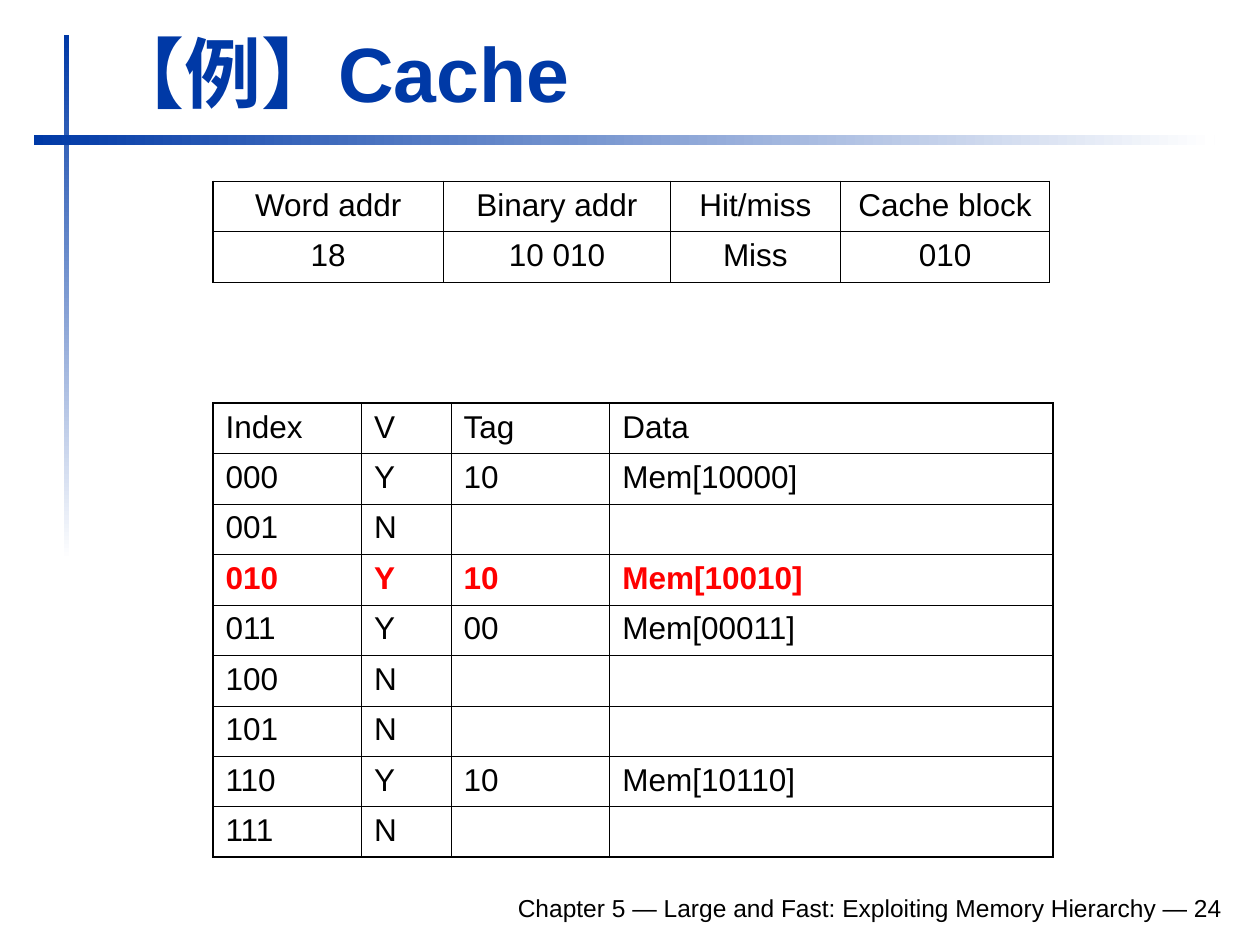
from dataclasses import dataclass

from pptx import Presentation
from pptx.dml.color import RGBColor
from pptx.enum import shapes, text
from pptx.oxml import ns
from pptx.util import Inches, Pt
from lxml import etree


@dataclass(frozen=True)
class Theme:
    font: str = "Arial"
    accent: RGBColor = RGBColor(0x00, 0x39, 0xA6)
    fade: RGBColor = RGBColor(0xFF, 0xFF, 0xFF)
    ink: RGBColor = RGBColor(0x00, 0x00, 0x00)
    highlight: RGBColor = RGBColor(0xFF, 0x00, 0x00)
    title_size: int = 44
    table_size: int = 18
    footer_size: int = 14
    outer_line: float = 1.08
    header_line: float = 0.75
    inner_line: float = 0.45


THEME = Theme()
TITLE_ONLY_LAYOUT = 5
TABLE_LEFT = 1.69
ROW_HEIGHT = 0.4

ACCESS_COLUMNS = [1.83, 1.8, 1.35, 1.66]
ACCESS_ROWS = [
    ["Word addr", "Binary addr", "Hit/miss", "Cache block"],
    ["18", "10 010", "Miss", "010"],
]
CACHE_COLUMNS = [1.18, 0.71, 1.26, 3.52]
CACHE_ROWS = [
    ["Index", "V", "Tag", "Data"],
    ["000", "Y", "10", "Mem[10000]"],
    ["001", "N", "", ""],
    ["010", "Y", "10", "Mem[10010]"],
    ["011", "Y", "00", "Mem[00011]"],
    ["100", "N", "", ""],
    ["101", "N", "", ""],
    ["110", "Y", "10", "Mem[10110]"],
    ["111", "N", "", ""],
]
UPDATED_ROW = 3


def style_paragraph(paragraph, size, color, align, bold=False):
    paragraph.alignment = align
    font = paragraph.font
    font.name = THEME.font
    font.size = Pt(size)
    font.bold = bold
    font.color.rgb = color


def add_fading_bar(slide, left, top, width, height, angle):
    bar = slide.shapes.add_shape(
        shapes.MSO_SHAPE.RECTANGLE,
        Inches(left), Inches(top), Inches(width), Inches(height))
    bar.shadow.inherit = False
    bar.line.fill.background()
    bar.fill.gradient()
    bar.fill.gradient_angle = angle
    for stop, color in zip(bar.fill.gradient_stops, (THEME.accent, THEME.fade)):
        stop.color.rgb = color


def set_title(slide, wording):
    title = slide.shapes.title
    title.left, title.top = Inches(0.75), Inches(0.16)
    title.width, title.height = Inches(9.03), Inches(0.83)
    frame = title.text_frame
    frame.text = wording
    frame.vertical_anchor = text.MSO_ANCHOR.BOTTOM
    frame.auto_size = text.MSO_AUTO_SIZE.SHAPE_TO_FIT_TEXT
    style_paragraph(frame.paragraphs[0], THEME.title_size, THEME.accent,
                    text.PP_ALIGN.LEFT, bold=True)


def add_footer(slide, wording):
    footer = slide.shapes.add_textbox(
        Inches(1.85), Inches(6.98), Inches(7.95), Inches(0.39))
    frame = footer.text_frame
    frame.word_wrap = True
    frame.vertical_anchor = text.MSO_ANCHOR.BOTTOM
    frame.text = wording
    style_paragraph(frame.paragraphs[0], THEME.footer_size, THEME.ink,
                    text.PP_ALIGN.RIGHT)


def set_borders(cell, widths):
    """Draw the cell's sides; widths maps L, R, T, B (in that order) to points."""
    properties = cell._tc.get_or_add_tcPr()
    for side, width in widths.items():
        line = etree.SubElement(properties, ns.qn(f"a:ln{side}"), w=str(Pt(width)))
        fill = etree.SubElement(line, ns.qn("a:solidFill"))
        etree.SubElement(fill, ns.qn("a:srgbClr"), val=str(THEME.ink))


def add_grid_table(slide, top, column_widths, rows, align, highlighted_row=None):
    last_row, last_column = len(rows) - 1, len(column_widths) - 1
    table = slide.shapes.add_table(
        len(rows), len(column_widths), Inches(TABLE_LEFT), Inches(top),
        Inches(sum(column_widths)), Inches(ROW_HEIGHT * len(rows))).table
    table.first_row = table.horz_banding = False
    for column, width in zip(table.columns, column_widths):
        column.width = Inches(width)

    # Heavy frame, medium rule under the header, thin rules elsewhere
    row_rules = ([THEME.outer_line, THEME.header_line]
                 + [THEME.inner_line] * (last_row - 1) + [THEME.outer_line])
    column_rules = ([THEME.outer_line] + [THEME.inner_line] * last_column
                    + [THEME.outer_line])

    for row_index, row in enumerate(rows):
        table.rows[row_index].height = Inches(ROW_HEIGHT)
        updated = row_index == highlighted_row
        color = THEME.highlight if updated else THEME.ink
        for column_index, wording in enumerate(row):
            cell = table.cell(row_index, column_index)
            cell.text = wording
            set_borders(cell, {
                "L": column_rules[column_index],
                "R": column_rules[column_index + 1],
                "T": row_rules[row_index],
                "B": row_rules[row_index + 1],
            })
            cell.fill.background()
            style_paragraph(cell.text_frame.paragraphs[0], THEME.table_size,
                            color, align, bold=updated)


def main():
    presentation = Presentation()
    presentation.slide_width, presentation.slide_height = Inches(10), Inches(7.5)
    slide = presentation.slides.add_slide(
        presentation.slide_layouts[TITLE_ONLY_LAYOUT])

    # Crossed bars, fading downwards and to the right
    add_fading_bar(slide, 0.51, 0.28, 0.04, 4.17, angle=270)
    add_fading_bar(slide, 0.27, 1.07, 9.37, 0.08, angle=0)

    # Title and footer
    set_title(slide, "【例】Cache")
    add_footer(slide, "Chapter 5 — Large and Fast: Exploiting Memory Hierarchy — 24")

    # Cache contents, then the access that updated them
    add_grid_table(slide, 3.2, CACHE_COLUMNS, CACHE_ROWS,
                   text.PP_ALIGN.LEFT, UPDATED_ROW)
    add_grid_table(slide, 1.44, ACCESS_COLUMNS, ACCESS_ROWS, text.PP_ALIGN.CENTER)

    presentation.save("out.pptx")


if __name__ == "__main__":
    main()
